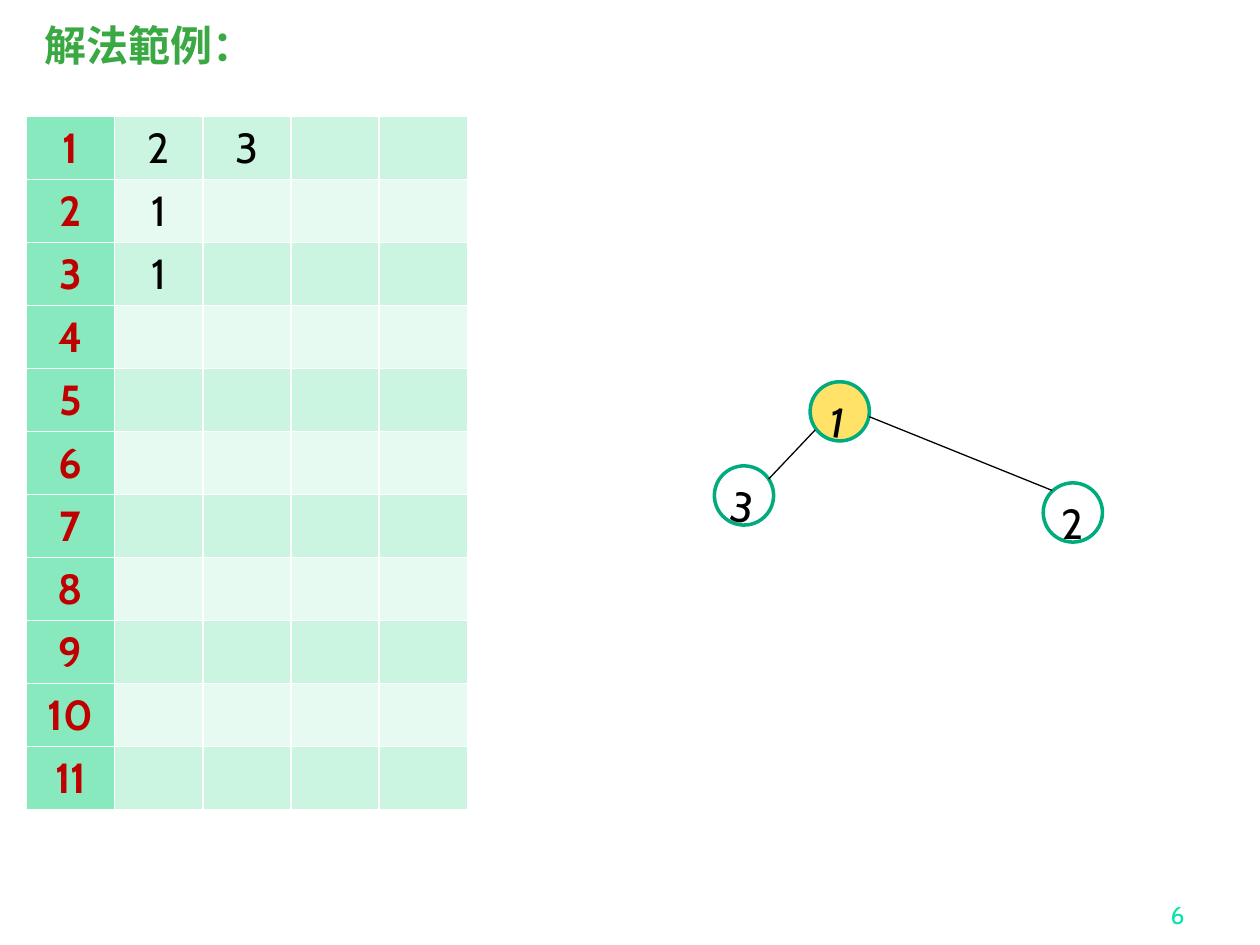
from dataclasses import dataclass

from lxml.etree import SubElement
from pptx import Presentation
from pptx.dml.color import RGBColor
from pptx.enum.shapes import MSO_CONNECTOR, MSO_SHAPE
from pptx.enum.text import MSO_ANCHOR, PP_ALIGN
from pptx.oxml.ns import qn
from pptx.util import Inches, Pt

WIDTH, HEIGHT = Inches(10), Inches(7.5)
COLUMNS, ROWS = 5, 11
COLUMN_WIDTH, ROW_HEIGHT = Inches(0.7), Inches(0.41)
NODE_SIZE = Inches(0.47)
LATIN = "Cabin"
BLACK, WHITE, RED = "000000", "FFFFFF", "C00000"
HEADER_FILL = "88E9BE"
BAND_FILLS = ("CCF5E1", "E7FAF1")
ADJACENCY = {1: (2, 3), 2: (1,), 3: (1,)}


@dataclass(frozen=True)
class Node:
    label: str
    left: float
    top: float
    fill: str = WHITE
    rotation: float = 0


@dataclass(frozen=True)
class Edge:
    start: tuple[float, float]
    end: tuple[float, float]


NODES = (
    Node("2", 0.828, 0.511),
    Node("1", 0.643, 0.404, "FFE267", 9.7),
    Node("3", 0.567, 0.493, rotation=9.7),
)
EDGES = (
    Edge((0.61, 0.507), (0.647, 0.455)),
    Edge((0.69, 0.441), (0.835, 0.519)),
)


def rgb(code: str) -> RGBColor:
    return RGBColor.from_string(code)


def across(share: float) -> int:
    return round(WIDTH * share)


def down(share: float) -> int:
    return round(HEIGHT * share)


def write(frame, text: str, color: str, size: float = 24, bold: bool = False,
          align=PP_ALIGN.CENTER, font: str = LATIN) -> None:
    frame.text = text
    paragraph = frame.paragraphs[0]
    paragraph.alignment = align
    for run in paragraph.runs:
        run.font.name = font
        run.font.size = Pt(size)
        run.font.bold = bold
        run.font.color.rgb = rgb(color)


def add_title(slide, text: str) -> None:
    title = slide.shapes.title
    title.left, title.top = across(0.025), down(0.02)
    title.width, title.height = across(0.22), down(0.123)
    write(title.text_frame, text, "3BA943", bold=True,
          align=PP_ALIGN.LEFT, font="Times New Roman")
    title.text_frame.vertical_anchor = MSO_ANCHOR.TOP
    title.text_frame.paragraphs[0].line_spacing = 0.9


def add_page_number(slide, number: str) -> None:
    page = slide.shapes.add_textbox(across(0.742), down(0.923), across(0.208), down(0.067))
    page.text_frame.word_wrap = True
    page.text_frame.vertical_anchor = MSO_ANCHOR.BOTTOM
    write(page.text_frame, number, "00E4A8", size=14, align=PP_ALIGN.RIGHT)


def add_node(slide, node: Node) -> None:
    circle = slide.shapes.add_shape(
        MSO_SHAPE.OVAL, across(node.left), down(node.top), NODE_SIZE, NODE_SIZE)
    circle.rotation = node.rotation
    circle.shadow.inherit = False
    circle.fill.solid()
    circle.fill.fore_color.rgb = rgb(node.fill)
    circle.line.color.rgb = rgb("00AB7E")
    circle.line.width = Pt(2)
    circle.text_frame.word_wrap = False
    circle.text_frame.vertical_anchor = MSO_ANCHOR.TOP
    write(circle.text_frame, node.label, BLACK)


def add_edge(slide, edge: Edge) -> None:
    (x1, y1), (x2, y2) = edge.start, edge.end
    link = slide.shapes.add_connector(
        MSO_CONNECTOR.STRAIGHT, across(x1), down(y1), across(x2), down(y2))
    link.line.color.rgb = rgb(BLACK)
    link.line.width = Pt(0.75)
    SubElement(link._element.spPr, qn("a:effectLst"))


def set_borders(cell, color: str, width: float) -> None:
    properties = cell._tc.get_or_add_tcPr()
    for position, side in enumerate(("a:lnL", "a:lnR", "a:lnT", "a:lnB")):
        border = SubElement(properties, qn(side), w=str(Pt(width)))
        properties.insert(position, border)
        SubElement(SubElement(border, qn("a:solidFill")), qn("a:srgbClr"), val=color)


def add_adjacency_table(slide) -> None:
    table = slide.shapes.add_table(
        ROWS, COLUMNS, across(0.021), down(0.123),
        COLUMN_WIDTH * COLUMNS, ROW_HEIGHT * ROWS).table
    table.first_row = table.horz_banding = False
    for column in table.columns:
        column.width = COLUMN_WIDTH
    for index, row in enumerate(table.rows):
        row.height = ROW_HEIGHT
        vertex = index + 1
        values = (vertex, *ADJACENCY.get(vertex, ()))
        for position, cell in enumerate(row.cells):
            is_vertex = position == 0
            cell.fill.solid()
            cell.fill.fore_color.rgb = rgb(HEADER_FILL if is_vertex else BAND_FILLS[index % 2])
            set_borders(cell, WHITE, 1)
            if position < len(values):
                write(cell.text_frame, str(values[position]),
                      RED if is_vertex else BLACK, bold=is_vertex)


def main() -> None:
    deck = Presentation()
    deck.slide_width, deck.slide_height = WIDTH, HEIGHT
    slide = deck.slides.add_slide(deck.slide_layouts[5])
    add_page_number(slide, "6")
    add_title(slide, "解法範例：")
    for node in NODES:
        add_node(slide, node)
    for edge in EDGES:
        add_edge(slide, edge)
    add_adjacency_table(slide)
    deck.save("out.pptx")


if __name__ == "__main__":
    main()
